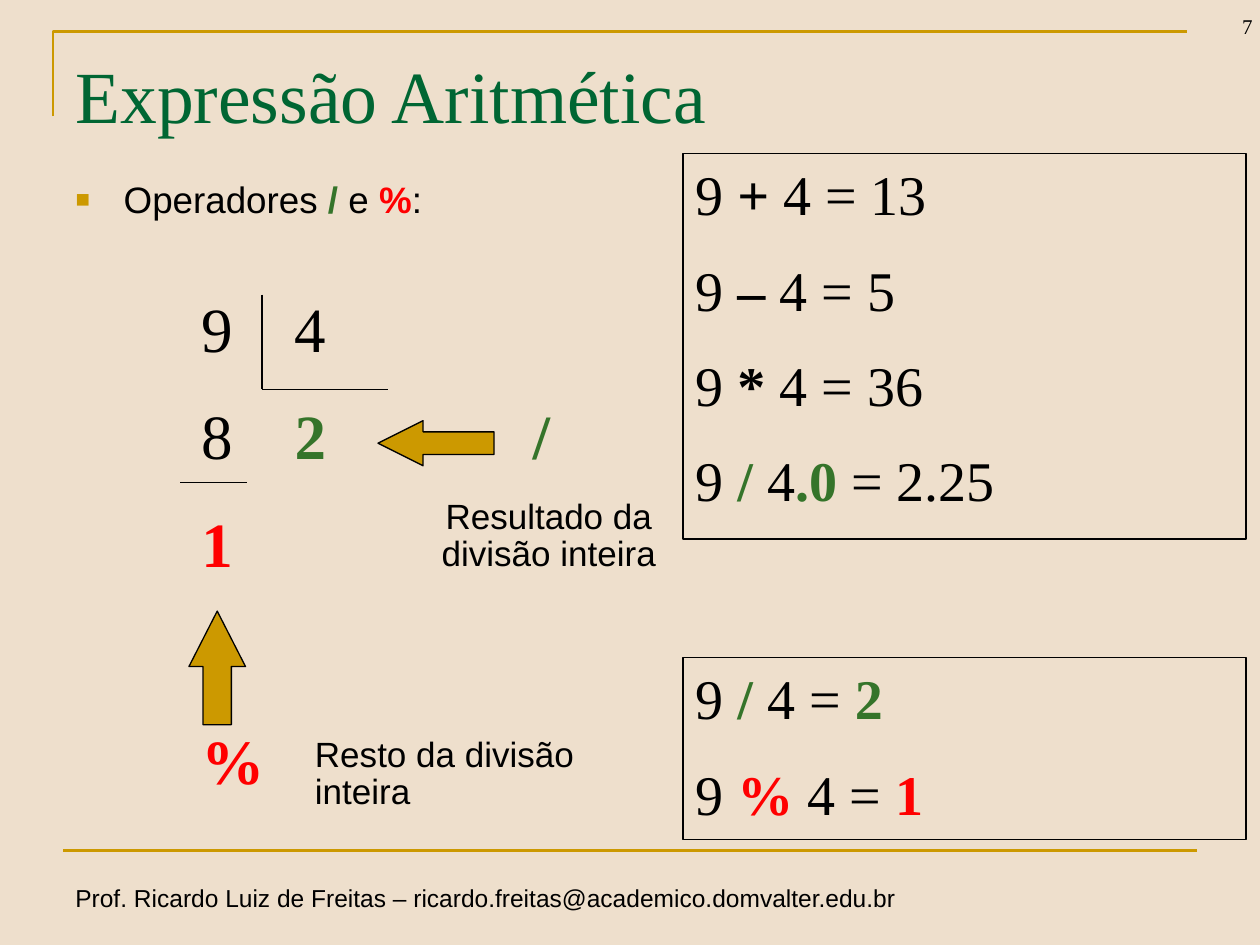
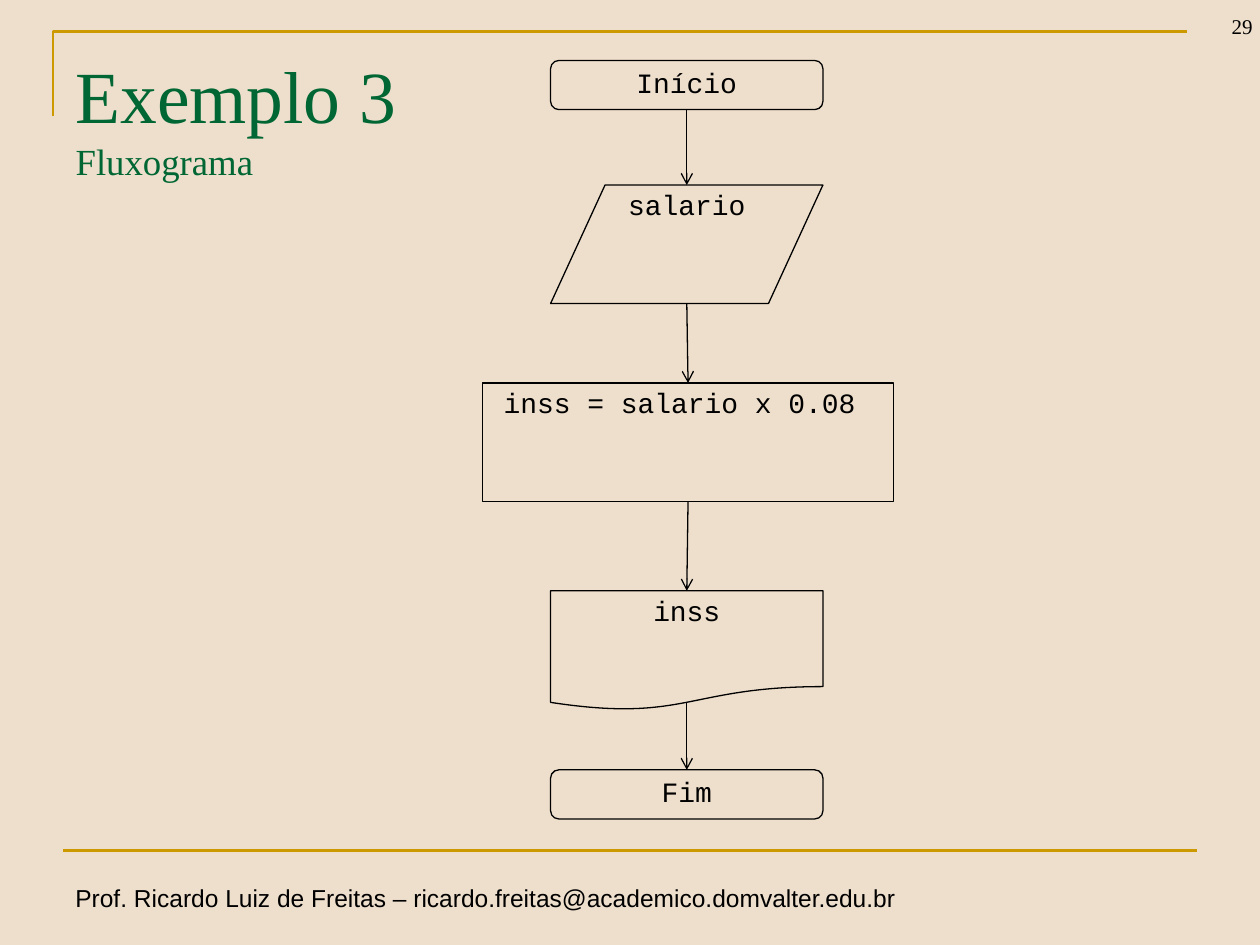
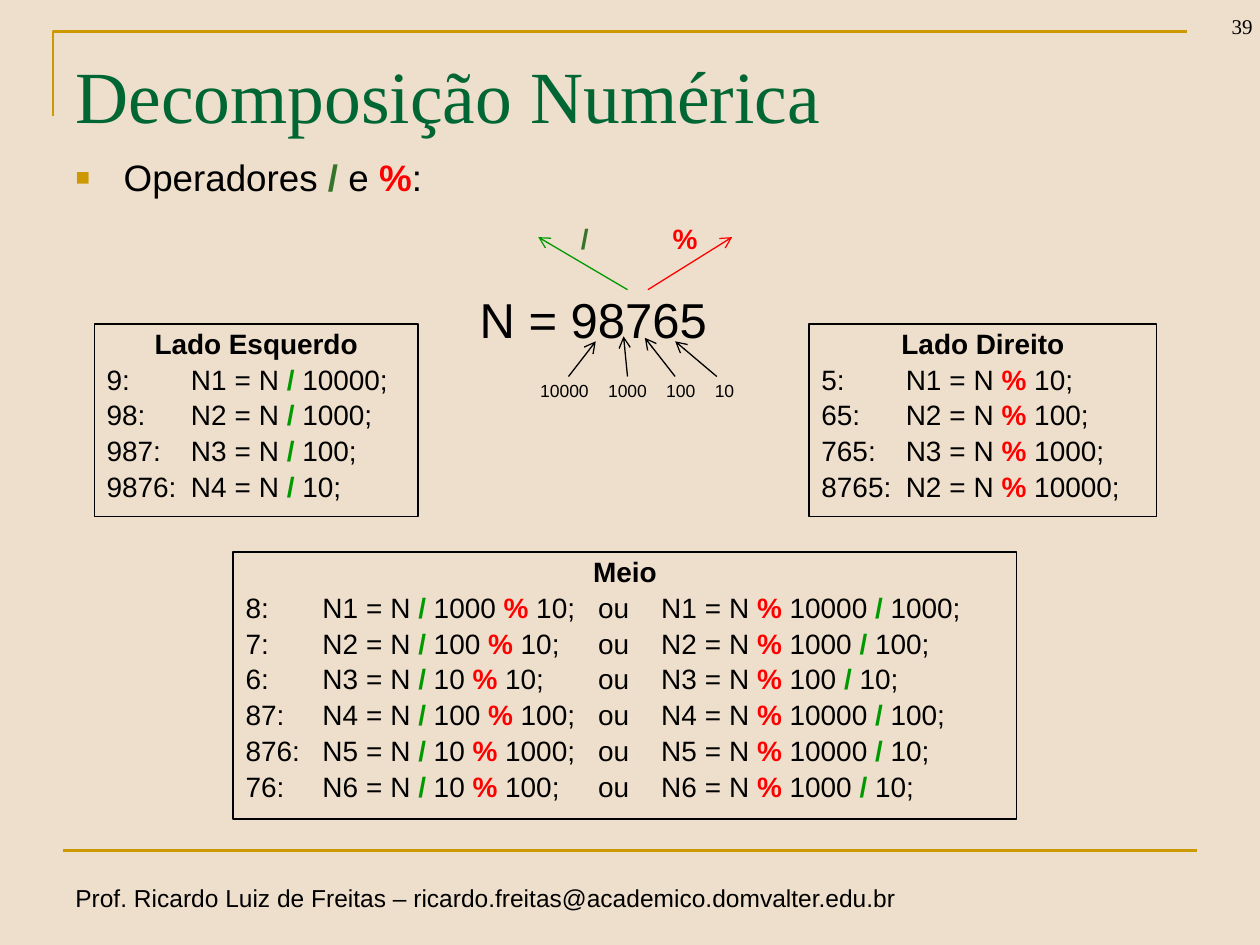
import pptx
import pptx.util
import pptx.dml.color
import pptx.enum.shapes
import pptx.enum.text
import pptx.oxml.ns
from lxml import etree

Cm, Pt, qn = pptx.util.Cm, pptx.util.Pt, pptx.oxml.ns.qn
KIND = pptx.enum.shapes.MSO_SHAPE
ALIGN = pptx.enum.text.PP_ALIGN
ANCHOR = pptx.enum.text.MSO_ANCHOR

COLOURS = {
    "paper": "EEDFCC",
    "gold": "CC9900",
    "heading": "006633",
    "ink": "000000",
    "leaf": "35742A",
    "grass": "009900",
    "red": "FF0000",
}
SERIF, SANS, MONO = "Times New Roman", "Arial", "Courier New"

FOOTER = "Prof. Ricardo Luiz de Freitas – ricardo.freitas@academico.domvalter.edu.br"
FOOTER_BOX = (1.27, 17.68, 17.42, 0.86)
NUMBER_BOX = (23.6, -0.36, 1.9, 1.27)
TITLE_BOX = (1.27, 0.76, 22.86, 3.18)
CORNER = [(1.07, 2.34), (1.07, 0.64), (23.93, 0.64)]
FOOTER_RULE = ((1.27, 17.15), (24.13, 17.15))

# Marked pieces are written as |colour:text| and show in bold; |mono:text| only changes the font.
OPERATORS = "Operadores |leaf:/| e |red:%|:"

RESULTS = [
    ((13.77, 3.1, 11.35, 7.77),
     ["9 |ink:+| 4 = 13", "9 |ink:–| 4 = 5", "9 |ink:*| 4 = 36", "9 |leaf:/| 4|leaf:.0| = 2.25"]),
    ((13.77, 13.26, 11.35, 3.66),
     ["9 |leaf:/| 4 = |leaf:2|", "9 |red:%| 4 = |red:1|"]),
]
DIVISION = ["9\t4", "8\t|leaf:2\t/|", "|red:1|", "|red:%|"]
DIVISION_BOX = (3.81, 5.72, 10.08, 11.02)
DIVISION_TABS = (1.88, 6.68)
DIVISION_RULES = [
    ((5.28, 5.94), (5.28, 7.85)),
    ((5.28, 7.85), (7.82, 7.85)),
    ((3.63, 9.73), (4.98, 9.73)),
]
POINTERS = [
    (KIND.UP_ARROW, (3.81, 12.32, 1.14, 2.29), (0.5, 0.98)),
    (KIND.LEFT_ARROW, (7.62, 8.48, 2.34, 0.91), (0.5, 1)),
]
CAPTIONS = [
    ("Resultado da divisão inteira", (8.13, 9.93, 5.87, 1.8), ALIGN.CENTER),
    ("Resto da divisão inteira", (6.1, 14.73, 5.87, 1.8), ALIGN.LEFT),
]

STEPS = [
    ("Início", KIND.FLOWCHART_ALTERNATE_PROCESS, (11.1, 1.22, 5.49, 0.99)),
    ("salario", KIND.FLOWCHART_DATA, (11.1, 3.73, 5.49, 2.39)),
    ("inss = salario x 0.08 ", KIND.FLOWCHART_PROCESS, (9.73, 7.72, 8.28, 2.39)),
    ("inss", KIND.FLOWCHART_DOCUMENT, (11.1, 11.91, 5.49, 2.41)),
    ("Fim", KIND.FLOWCHART_ALTERNATE_PROCESS, (11.1, 15.52, 5.49, 0.99)),
]
JOINABLE = (KIND.FLOWCHART_ALTERNATE_PROCESS, KIND.FLOWCHART_PROCESS)
DOCUMENT_WAVE = 0.15

LEFT_SIDE = [("9", 1, 10000), ("98", 2, 1000), ("987", 3, 100), ("9876", 4, 10)]
RIGHT_SIDE = [("5", 1, 10), ("65", 2, 100), ("765", 3, 1000), ("8765", 2, 10000)]
MIDDLE = [
    ("8", 1000, 10, 10000, 1000),
    ("7", 100, 10, 1000, 100),
    ("6", 10, 10, 100, 10),
    ("87", 100, 100, 10000, 100),
    ("876", 10, 1000, 10000, 10),
    ("76", 10, 100, 1000, 10),
]
EXTRACTIONS = [
    ("Lado Esquerdo", (1.9, 6.53, 6.53, 3.89), (1.7,),
     [f"{digits}:\tN{n} = N / {power};" for digits, n, power in LEFT_SIDE]),
    ("Lado Direito", (16.31, 6.53, 7.01, 3.89), (1.7,),
     [f"{digits}:\tN{n} = N % {power};" for digits, n, power in RIGHT_SIDE]),
    ("Meio", (4.7, 11.13, 15.8, 5.38), (1.55, 7.11, 8.38),
     [f"{digits}:\tN{n} = N / {a} % {b};\tou\tN{n} = N % {c} / {d};"
      for n, (digits, a, b, c, d) in enumerate(MIDDLE, 1)]),
]
NUMBER_LABELS = [
    ("N = 98765", 28, (9.42, 5.84, 5.59, 1.35), ()),
    ("|leaf:/|\t|red:%|", 16, (11.46, 4.42, 3, 0.86), (1.85,)),
    ("10000\t1000\t100\t10", 10, (10.64, 7.59, 4.7, 0.64), (1.37, 2.54, 3.52)),
]
NUMBER_ARROWS = [
    ((12.65, 5.84), (10.85, 4.78), "grass"),
    ((13.06, 5.84), (14.76, 4.78), "red"),
    ((14.45, 7.59), (13.61, 6.88), "ink"),
    ((13.61, 7.59), (13, 6.81), "ink"),
    ((12.65, 7.59), (12.57, 6.78), "ink"),
    ((11.46, 7.59), (12.01, 6.88), "ink"),
]


def colour(name):
    return pptx.dml.color.RGBColor.from_string(COLOURS[name])


def lengths(values):
    return [Cm(value) for value in values]


def add_run(paragraph, text, size, font, ink="ink", bold=False):
    run = paragraph.add_run()
    run.text = text
    run.font.size, run.font.name, run.font.bold = Pt(size), font, bold
    run.font.color.rgb = colour(ink)


def add_marked(paragraph, text, size, font):
    for i, piece in enumerate(text.split("|")):
        if i % 2:
            mark, _, word = piece.partition(":")
            if mark == "mono":
                add_run(paragraph, word, size, MONO)
            else:
                add_run(paragraph, word, size, font, mark, True)
        elif piece:
            add_run(paragraph, piece, size, font)


def space_before(paragraph, percent):
    paragraph.space_before = Pt(0)
    spacing = paragraph._p.pPr.find(qn("a:spcBef"))
    spacing.remove(spacing[0])
    etree.SubElement(spacing, qn("a:spcPct"), val=str(percent * 1000))


def set_tabs(paragraph, stops):
    tabs = etree.SubElement(paragraph._p.get_or_add_pPr(), qn("a:tabLst"))
    for stop in stops:
        etree.SubElement(tabs, qn("a:tab"), pos=str(Cm(stop)), algn="l")


def write(shape, lines, size, font, align=ALIGN.LEFT, percent=20, leading=0.9, tabs=()):
    frame = shape.text_frame
    frame.word_wrap = True
    frame.vertical_anchor = ANCHOR.TOP
    for i, line in enumerate(lines):
        paragraph = frame.add_paragraph() if i else frame.paragraphs[0]
        paragraph.alignment = align
        paragraph.line_spacing = leading
        space_before(paragraph, percent)
        if tabs:
            set_tabs(paragraph, tabs)
        add_marked(paragraph, line, size, font)
    return frame


def add_text(slide, box, *args, **kwargs):
    return write(slide.shapes.add_textbox(*lengths(box)), *args, **kwargs)


def add_outlined(slide, kind, box, fill=None):
    shape = slide.shapes.add_shape(kind, *lengths(box))
    shape.shadow.inherit = False
    if fill:
        shape.fill.solid()
        shape.fill.fore_color.rgb = colour(fill)
    else:
        shape.fill.background()
    shape.line.color.rgb = colour("ink")
    shape.line.width = Pt(0.75)
    return shape


def add_rule(slide, start, end, ink="ink", width=0.75, arrow=False):
    rule = slide.shapes.add_connector(
        pptx.enum.shapes.MSO_CONNECTOR.STRAIGHT, *lengths(start + end))
    rule.line.color.rgb = colour(ink)
    rule.line.width = Pt(width)
    properties = rule._element.spPr
    if arrow:
        etree.SubElement(properties.find(qn("a:ln")), qn("a:tailEnd"), type="arrow")
    etree.SubElement(properties, qn("a:effectLst"))
    return rule


def place(placeholder, box):
    placeholder.left, placeholder.top, placeholder.width, placeholder.height = lengths(box)
    placeholder.text_frame.auto_size = pptx.enum.text.MSO_AUTO_SIZE.NONE
    placeholder.text_frame.vertical_anchor = ANCHOR.TOP


def add_base(prs, layout, number, title, subtitle=None):
    slide = prs.slides.add_slide(prs.slide_layouts[layout])
    start, *rest = [tuple(lengths(point)) for point in CORNER]
    outline = slide.shapes.build_freeform(*start)
    outline.add_line_segments(rest, close=False)
    corner = outline.convert_to_shape()
    corner.shadow.inherit = False
    corner.fill.background()
    corner.line.color.rgb = colour("gold")
    corner.line.width = Pt(1.5)
    add_rule(slide, *FOOTER_RULE, "gold", 1.5)
    add_text(slide, FOOTER_BOX, [FOOTER], 14, SANS, percent=0, leading=1.0)
    page = add_text(slide, NUMBER_BOX, [str(number)], 12, SERIF, ALIGN.RIGHT, 0, 1.0)
    page.vertical_anchor = ANCHOR.BOTTOM

    heading = slide.shapes.title
    place(heading, TITLE_BOX)
    heading.text_frame.margin_top = Cm(0.25)
    paragraph = heading.text_frame.paragraphs[0]
    paragraph.alignment = ALIGN.LEFT
    add_run(paragraph, title, 42, SERIF, "heading")
    if subtitle:
        paragraph.add_line_break()
        add_run(paragraph, subtitle, 21, SERIF, "heading")
    return slide


def add_operators(slide, box):
    body = slide.placeholders[1]
    place(body, box)
    write(body, [OPERATORS], 21, SANS)
    properties = body.text_frame.paragraphs[0]._p.pPr
    properties.set("marL", str(Cm(0.97)))
    properties.set("indent", str(-Cm(0.97)))
    tint = etree.SubElement(properties, qn("a:buClr"))
    etree.SubElement(tint, qn("a:srgbClr"), val=COLOURS["gold"])
    etree.SubElement(properties, qn("a:buSzPct"), val="65000")
    etree.SubElement(properties, qn("a:buFont"), typeface=SANS)
    etree.SubElement(properties, qn("a:buChar"), char="■")


def build_arithmetic(prs):
    slide = add_base(prs, 1, 7, "Expressão Aritmética")
    add_operators(slide, (1.27, 3.53, 10.82, 1.32))
    for box, lines in RESULTS:
        write(add_outlined(slide, KIND.RECTANGLE, box), lines, 32, SERIF,
              percent=50, leading=1.0)
    division = add_text(slide, DIVISION_BOX, DIVISION, 36, SERIF,
                        percent=50, leading=1.0, tabs=DIVISION_TABS)
    division.paragraphs[-1].space_before = Pt(81)
    for start, end in DIVISION_RULES:
        add_rule(slide, start, end)
    for kind, box, proportions in POINTERS:
        pointer = add_outlined(slide, kind, box, "gold")
        for i, proportion in enumerate(proportions):
            pointer.adjustments[i] = proportion
    for caption, box, align in CAPTIONS:
        add_text(slide, box, [caption], 20, SANS, align)


def build_flowchart(prs):
    slide = add_base(prs, 5, 29, "Exemplo 3 ", "Fluxograma")
    drawn = []
    for text, kind, box in STEPS:
        step = add_outlined(slide, kind, box)
        write(step, [text], 16, MONO, ALIGN.CENTER)
        drawn.append((step, kind, box))
    for (source, source_kind, upper), (target, target_kind, lower) in zip(drawn, drawn[1:]):
        wave = DOCUMENT_WAVE if source_kind == KIND.FLOWCHART_DOCUMENT else 0
        start = (upper[0] + upper[2] / 2, upper[1] + upper[3] - wave)
        end = (lower[0] + lower[2] / 2, lower[1])
        flow = add_rule(slide, start, end, arrow=True)
        if source_kind in JOINABLE:
            flow.begin_connect(source, 2)
        if target_kind in JOINABLE:
            flow.end_connect(target, 0)


def build_decomposition(prs):
    slide = add_base(prs, 1, 39, "Decomposição Numérica")
    add_operators(slide, (1.27, 3.1, 22.63, 1.32))
    for heading, box, tabs, formulas in EXTRACTIONS:
        lines = [f"|ink:{heading}|"]
        for formula in formulas:
            lines.append(formula.replace("=", "|mono:=|").replace("/", "|grass:/|")
                         .replace("%", "|red:%|"))
        frame = write(add_outlined(slide, KIND.RECTANGLE, box), lines, 16, SANS, tabs=tabs)
        frame.paragraphs[0].alignment = ALIGN.CENTER
    for label, size, box, tabs in NUMBER_LABELS:
        add_text(slide, box, [label], size, SANS, tabs=tabs)
    for start, end, ink in NUMBER_ARROWS:
        add_rule(slide, start, end, ink, arrow=True)


def main():
    prs = pptx.Presentation()
    prs.slide_width, prs.slide_height = Cm(25.4), Cm(19.05)
    backdrop = prs.slide_master.background.fill
    backdrop.solid()
    backdrop.fore_color.rgb = colour("paper")
    build_arithmetic(prs)
    build_flowchart(prs)
    build_decomposition(prs)
    prs.save("out.pptx")


if __name__ == "__main__":
    main()
